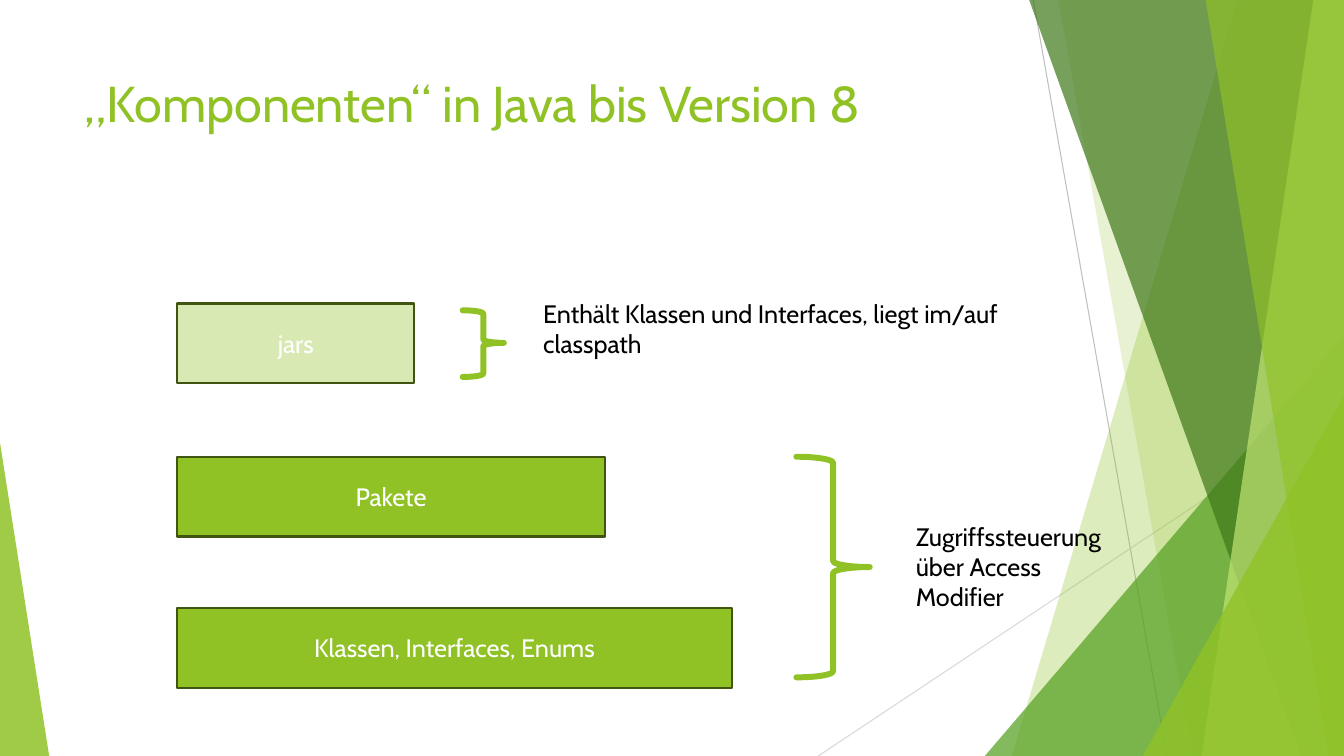
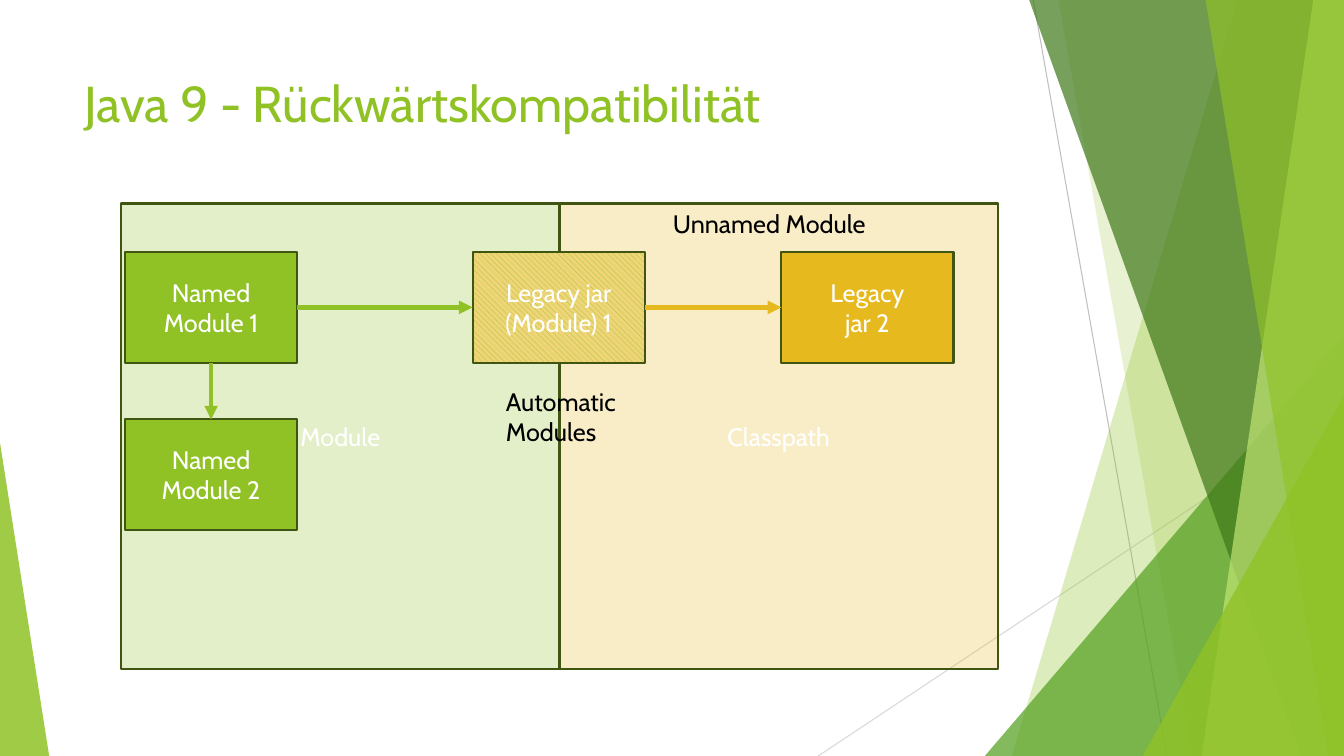
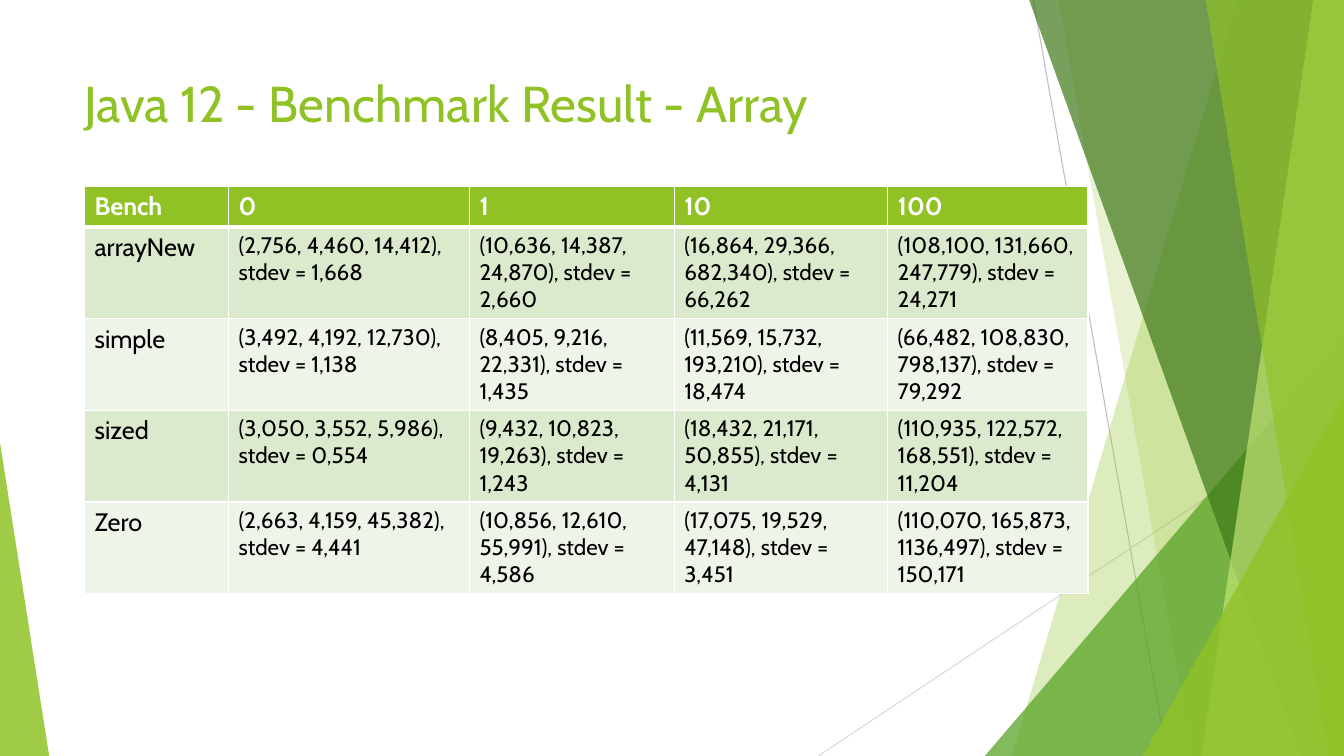
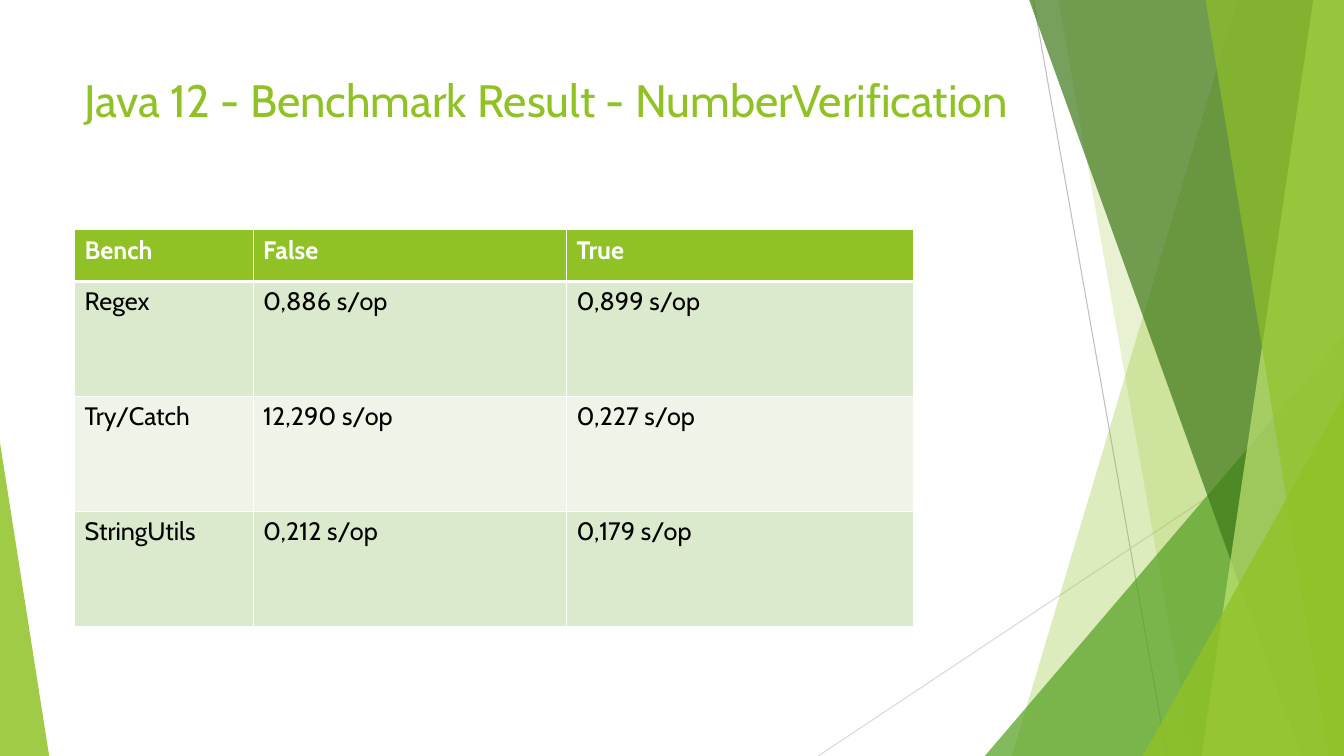
from dataclasses import dataclass
from typing import Any, Optional

from lxml.etree import SubElement
from pptx import Presentation
from pptx.dml.color import RGBColor
from pptx.enum.dml import MSO_PATTERN
from pptx.enum.shapes import MSO_CONNECTOR, MSO_SHAPE
from pptx.enum.text import MSO_ANCHOR, PP_ALIGN
from pptx.oxml.ns import qn
from pptx.slide import Slide
from pptx.util import Cm, Pt

GREEN = RGBColor(0x90, 0xC2, 0x26)
LEAF = RGBColor(0x54, 0xA0, 0x21)
MOSS = RGBColor(0x3F, 0x78, 0x19)
LIME = RGBColor(0xC0, 0xE4, 0x74)
DARK = RGBColor(0x3F, 0x55, 0x11)
GOLD = RGBColor(0xE6, 0xB9, 0x1E)
SAND = RGBColor(0xF0, 0xD5, 0x78)
MINT = RGBColor(0xDB, 0xE9, 0xCD)
PALE = RGBColor(0xEE, 0xF4, 0xE8)
SILVER = RGBColor(0xBF, 0xBF, 0xBF)
MIST = RGBColor(0xD9, 0xD9, 0xD9)
WHITE = RGBColor(0xFF, 0xFF, 0xFF)
BLACK = RGBColor(0, 0, 0)

WIDTH, HEIGHT = 33.87, 19.05
BODY = {"name": "Cabin", "size": Pt(18), "bold": False}
SMALL = {**BODY, "size": Pt(16)}
HEAD = {**BODY, "bold": True}
TITLE = {**BODY, "size": Pt(36)}
TIGHT = {**BODY, "size": Pt(32.4)}


@dataclass
class Band:
    top: float
    base: float
    color: RGBColor
    alpha: int


@dataclass
class Wedge:
    left: float
    top: float
    width: float
    tip: int
    color: RGBColor
    alpha: int


@dataclass
class Box:
    left: float
    top: float
    width: float
    height: float
    text: str
    color: RGBColor = GREEN
    alpha: int = 100


@dataclass
class Brace:
    left: float
    top: float
    width: float
    height: float
    mid: float = 0.5


@dataclass
class Grid:
    left: float
    top: float
    cols: list[float]
    head: float
    row: float
    cells: list[list[str]]
    style: dict[str, Any]


DECOR = [
    Band(31.19, 25.5, GREEN, 30),
    Band(26.67, 30.05, GREEN, 20),
    Wedge(24.82, 8.46, 9.05, 1, LEAF, 72),
    Band(25.93, 32.79, MOSS, 70),
    Band(33.1, 30.28, LIME, 70),
    Band(30.38, 33.48, GREEN, 65),
    Wedge(28.8, 9.98, 5.07, 1, GREEN, 80),
    Wedge(0, 11.15, 1.24, 0, GREEN, 85),
]

LAYERS = [
    Box(4.47, 7.65, 5.97, 2.01, "jars", alpha=35),
    Box(4.47, 11.51, 10.77, 2.01, "Pakete"),
    Box(4.47, 15.32, 13.97, 2.01, "Klassen, Interfaces, Enums"),
]
BRACES = [Brace(11.66, 7.82, 1.04, 1.68, 0.488), Brace(20.07, 11.51, 1.85, 5.56)]
LABELS = [
    Box(13.44, 7.39, 13.97, 1.8, "Enthält Klassen und Interfaces, liegt im/auf classpath"),
    Box(22.83, 13, 5.72, 2.57, "Zugriffssteuerung über Access Modifier"),
]

PANELS = [
    Box(3.05, 5.13, 11.05, 11.73, "Module", GREEN, 25),
    Box(14.1, 5.13, 11.05, 11.73, "Classpath", GOLD, 25),
]
NODES = [
    Box(3.15, 6.35, 4.34, 2.79, "Named Module 1"),
    Box(3.15, 10.57, 4.34, 2.79, "Named Module 2"),
    Box(11.91, 6.35, 4.34, 2.79, "Legacy jar\n(Module) 1"),
    Box(19.69, 6.35, 4.34, 2.79, "Legacy\njar 2", GOLD),
]
LINKS = [(0, 2, 1, 0, GREEN), (0, 3, 2, 1, GREEN), (2, 3, 3, 1, GOLD)]
NOTES = [
    Box(16.71, 5.13, 5.94, 1.02, "Unnamed Module"),
    Box(12.5, 9.6, 3.76, 1.8, "Automatic Modules"),
]

ARRAYS = Grid(2.13, 4.7, [3.63, 6.07, 5.16, 5.38, 5.05], 1.02, 2.31, [
    ["Bench", "0", "1", "10", "100"],
    ["arrayNew", "(2,756, 4,460, 14,412), stdev = 1,668",
     "(10,636, 14,387, 24,870), stdev = 2,660",
     "(16,864, 29,366, 682,340), stdev = 66,262",
     "(108,100, 131,660, 247,779), stdev = 24,271"],
    ["simple", "(3,492, 4,192, 12,730), stdev = 1,138",
     "(8,405, 9,216, 22,331), stdev = 1,435",
     "(11,569, 15,732, 193,210), stdev = 18,474",
     "(66,482, 108,830, 798,137), stdev = 79,292"],
    ["sized", "(3,050, 3,552, 5,986), stdev = 0,554",
     "(9,432, 10,823, 19,263), stdev = 1,243",
     "(18,432, 21,171, 50,855), stdev = 4,131",
     "(110,935, 122,572, 168,551), stdev = 11,204"],
    ["Zero", "(2,663, 4,159, 45,382), stdev = 4,441",
     "(10,856, 12,610, 55,991), stdev = 4,586",
     "(17,075, 19,529, 47,148), stdev = 3,451",
     "(110,070, 165,873, 1136,497), stdev = 150,171"],
], SMALL)
CHECKS = Grid(1.88, 5.79, [4.5, 7.9, 8.74], 1.3, 2.9, [
    ["Bench", "False", "True"],
    ["Regex", "0,886 s/op", "0,899 s/op"],
    ["Try/Catch", "12,290 s/op", "0,227 s/op"],
    ["StringUtils", "0,212 s/op", "0,179 s/op"],
], BODY)


def paint(shape: Any, color: RGBColor, alpha: int = 100) -> None:
    shape.shadow.inherit = False
    shape.fill.solid()
    shape.fill.fore_color.rgb = color
    if alpha < 100:
        tone = shape._element.spPr.find(qn("a:solidFill")).find(qn("a:srgbClr"))
        SubElement(tone, qn("a:alpha"), val=str(alpha * 1000))


def write(frame: Any, text: str, style: dict[str, Any], color: RGBColor,
          align: PP_ALIGN = PP_ALIGN.LEFT) -> None:
    frame.word_wrap = True
    frame.text = text
    for part in frame.paragraphs:
        part.alignment = align
        for name, value in style.items():
            setattr(part.font, name, value)
        part.font.color.rgb = color


def add_text(slide: Slide, box: Box, style: dict[str, Any] = BODY,
             color: RGBColor = BLACK) -> None:
    shape = slide.shapes.add_textbox(
        Cm(box.left), Cm(box.top), Cm(box.width), Cm(box.height))
    write(shape.text_frame, box.text, style, color)


def add_box(slide: Slide, box: Box) -> Any:
    shape = slide.shapes.add_shape(
        MSO_SHAPE.RECTANGLE, Cm(box.left), Cm(box.top), Cm(box.width), Cm(box.height))
    paint(shape, box.color, box.alpha)
    shape.line.color.rgb = DARK
    shape.line.width = Pt(1.5)
    shape.text_frame.vertical_anchor = MSO_ANCHOR.MIDDLE
    write(shape.text_frame, box.text, BODY, WHITE, PP_ALIGN.CENTER)
    return shape


def add_brace(slide: Slide, brace: Brace) -> None:
    shape = slide.shapes.add_shape(
        MSO_SHAPE.RIGHT_BRACE, Cm(brace.left), Cm(brace.top),
        Cm(brace.width), Cm(brace.height))
    shape.shadow.inherit = False
    shape.adjustments[1] = brace.mid
    shape.fill.background()
    shape.line.color.rgb = GREEN
    shape.line.width = Pt(4.25)
    shape._element.spPr.find(qn("a:ln")).set("cap", "rnd")


def add_line(slide: Slide, x1: float, y1: float, x2: float, y2: float,
             color: RGBColor, width: float) -> Any:
    line = slide.shapes.add_connector(
        MSO_CONNECTOR.STRAIGHT, Cm(x1), Cm(y1), Cm(x2), Cm(y2))
    line.line.color.rgb = color
    line.line.width = Pt(width)
    SubElement(line._element.spPr, qn("a:effectLst"))
    return line


def add_link(slide: Slide, start: Any, out: int, end: Any, into: int,
             color: RGBColor) -> None:
    line = add_line(slide, 0, 0, 1, 1, color, 3.25)
    line.begin_connect(start, out)
    line.end_connect(end, into)
    SubElement(line._element.spPr.find(qn("a:ln")), qn("a:tailEnd"), type="triangle")


def add_band(slide: Slide, band: Band) -> Any:
    path = slide.shapes.build_freeform(Cm(band.top), Cm(-0.02))
    path.add_line_segments([
        (Cm(WIDTH), Cm(-0.02)), (Cm(WIDTH), Cm(HEIGHT)), (Cm(band.base), Cm(HEIGHT))])
    return path.convert_to_shape()


def add_wedge(slide: Slide, wedge: Wedge) -> Any:
    shape = slide.shapes.add_shape(
        MSO_SHAPE.ISOSCELES_TRIANGLE, Cm(wedge.left), Cm(wedge.top),
        Cm(wedge.width), Cm(HEIGHT - wedge.top))
    shape.adjustments[0] = wedge.tip
    return shape


def add_slide(deck: Any, title: str, style: Optional[dict[str, Any]] = None) -> Slide:
    slide = deck.slides.add_slide(deck.slide_layouts[6])
    add_line(slide, 26.04, 0, 29.41, HEIGHT, SILVER, 0.75)
    add_line(slide, WIDTH, 10.24, 20.62, HEIGHT, MIST, 0.75)
    for item in DECOR:
        draw = add_band if isinstance(item, Band) else add_wedge
        shape = draw(slide, item)
        paint(shape, item.color, item.alpha)
        shape.line.fill.background()
    add_text(slide, Box(1.88, 1.7, 23.88, 2.34, title), style or TITLE, GREEN)
    return slide


def edge(cell: Any, row: int) -> None:
    props = cell._tc.get_or_add_tcPr()
    for side in "LRTB":
        thick = (row, side) in ((0, "B"), (1, "T"))
        line = SubElement(props, qn(f"a:ln{side}"), w=str(Pt(3 if thick else 1)))
        fill = SubElement(line, qn("a:solidFill"))
        SubElement(fill, qn("a:srgbClr"), val=str(WHITE))


def add_grid(slide: Slide, grid: Grid) -> None:
    count = len(grid.cells)
    table = slide.shapes.add_table(
        count, len(grid.cols), Cm(grid.left), Cm(grid.top), Cm(sum(grid.cols)),
        Cm(grid.head + grid.row * (count - 1))).table
    for col, width in zip(table.columns, grid.cols):
        col.width = Cm(width)
    for r, texts in enumerate(grid.cells):
        table.rows[r].height = Cm(grid.row if r else grid.head)
        for c, text in enumerate(texts):
            cell = table.cell(r, c)
            edge(cell, r)
            cell.fill.solid()
            cell.fill.fore_color.rgb = (MINT if r % 2 else PALE) if r else GREEN
            style = (grid.style if c else BODY) if r else HEAD
            write(cell.text_frame, text, style, BLACK if r else WHITE)


def add_parts(deck: Any) -> None:
    slide = add_slide(deck, "„Komponenten“ in Java bis Version 8")
    for box in LAYERS:
        add_box(slide, box)
    for brace in BRACES:
        add_brace(slide, brace)
    for label in LABELS:
        add_text(slide, label)


def add_legacy(deck: Any) -> None:
    slide = add_slide(deck, "Java 9 - Rückwärtskompatibilität")
    for panel in PANELS:
        add_box(slide, panel)
    nodes = [add_box(slide, node) for node in NODES]
    fill = nodes[2].fill
    fill.patterned()
    fill.pattern = MSO_PATTERN.WIDE_DOWNWARD_DIAGONAL
    fill.fore_color.rgb = GREEN
    fill.back_color.rgb = SAND
    for start, out, end, into, color in LINKS:
        add_link(slide, nodes[start], out, nodes[end], into, color)
    for note in NOTES:
        add_text(slide, note)


def main() -> None:
    deck = Presentation()
    deck.slide_width, deck.slide_height = Cm(WIDTH), Cm(HEIGHT)
    add_parts(deck)
    add_legacy(deck)
    add_grid(add_slide(deck, "Java 12 - Benchmark Result - Array"), ARRAYS)
    add_grid(add_slide(
        deck, "Java 12 - Benchmark Result - NumberVerification", TIGHT), CHECKS)
    deck.save("out.pptx")


if __name__ == "__main__":
    main()
